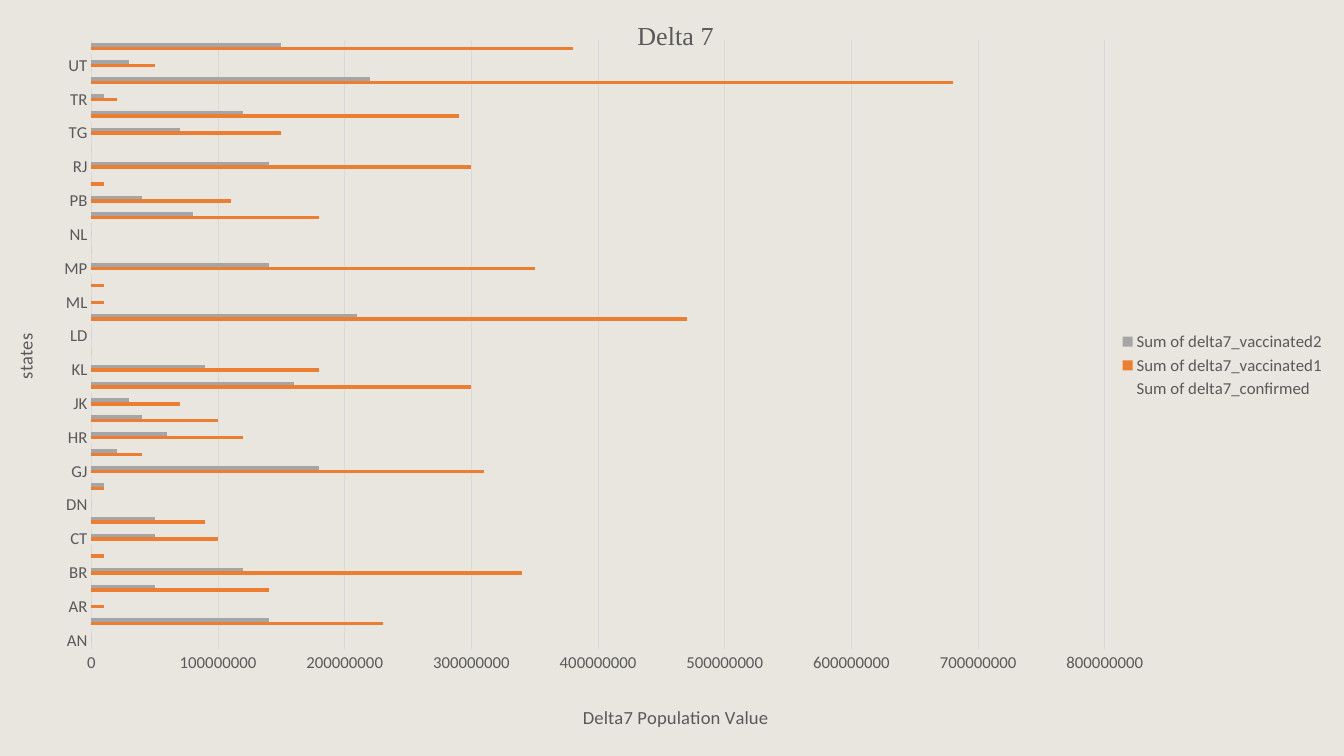
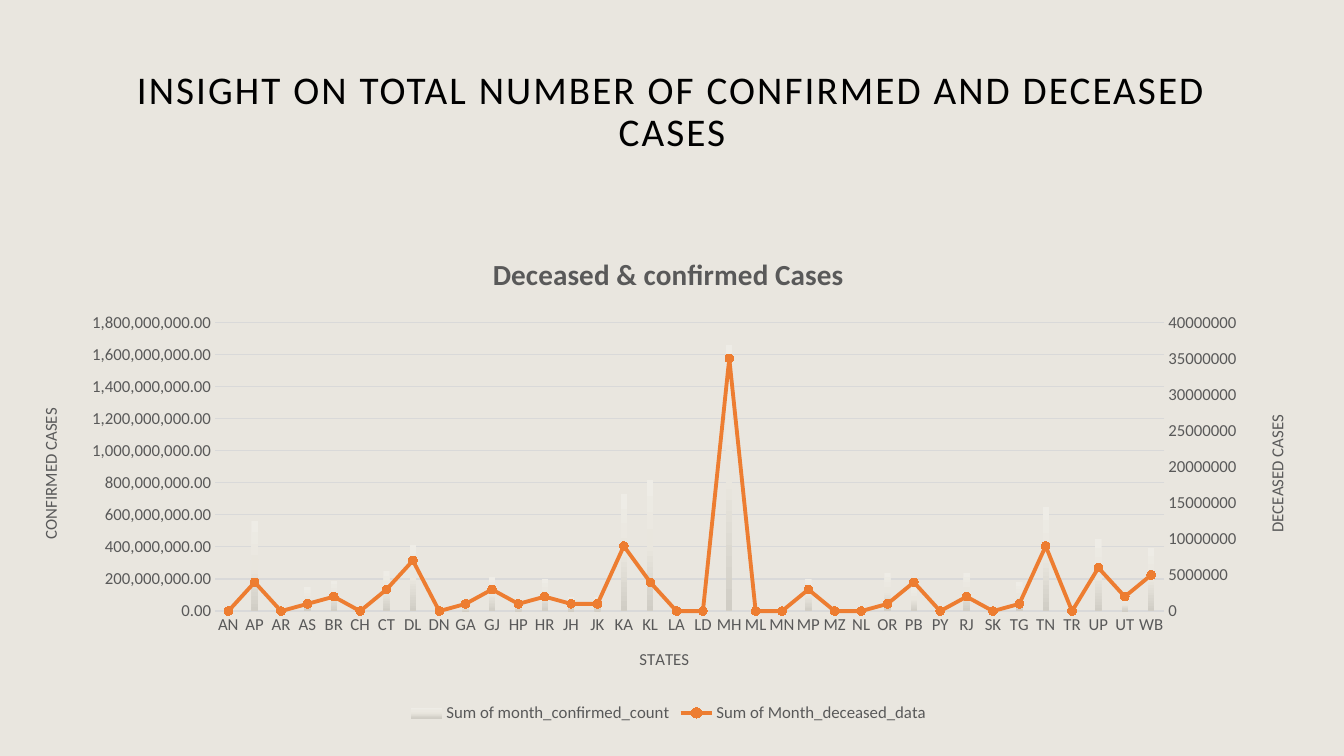
from copy import deepcopy

from pptx import Presentation
from pptx.chart.data import CategoryChartData
from pptx.dml.color import RGBColor
from pptx.enum.chart import XL_CHART_TYPE, XL_LEGEND_POSITION, XL_MARKER_STYLE, XL_TICK_MARK
from pptx.enum.text import MSO_ANCHOR, PP_ALIGN
from pptx.oxml import parse_xml
from pptx.oxml.ns import nsdecls, qn
from pptx.util import Cm, Pt

BARS = XL_CHART_TYPE.BAR_CLUSTERED
COLS = XL_CHART_TYPE.COLUMN_CLUSTERED
RIGHT = XL_LEGEND_POSITION.RIGHT
BOTTOM = XL_LEGEND_POSITION.BOTTOM
DOT = XL_MARKER_STYLE.CIRCLE
NO_TICK = XL_TICK_MARK.NONE
MIDDLE = MSO_ANCHOR.MIDDLE
CENTER = PP_ALIGN.CENTER

FONT = "Calibri"
SERIF = "Times New Roman"
BACK = "E9E6DF"
INK = "000000"
GREY = "595959"
RULE = "D9D9D9"
ORANGE = "ED7D31"
SILVER = "A5A5A5"
SPOT = "F67B28"
FADE = [(0, "EEECE6"), (50, "E9E6DE"), (100, "D0CDC5")]

MILLION = 10 ** 6
STATES = ("AN AP AR AS BR CH CT DL DN GA GJ HP HR JH JK KA KL LA LD MH ML MN "
          "MP MZ NL OR PB PY RJ SK TG TN TR UP UT WB").split()
DELTA = {
    "Sum of delta7_confirmed": [
        0, 10, 0, 0, 10, 0, 10, 10, 0, 0, 10, 0, 10, 0, 0, 20, 30, 0,
        0, 50, 0, 0, 10, 0, 0, 10, 0, 0, 10, 0, 0, 20, 0, 10, 0, 10],
    "Sum of delta7_vaccinated1": [
        0, 230, 10, 140, 340, 10, 100, 90, 0, 10, 310, 40, 120, 100, 70, 300, 180, 0,
        0, 470, 10, 10, 350, 0, 0, 180, 110, 10, 300, 0, 150, 290, 20, 680, 50, 380],
    "Sum of delta7_vaccinated2": [
        0, 140, 0, 50, 120, 0, 50, 50, 0, 10, 180, 20, 60, 40, 30, 160, 90, 0,
        0, 210, 0, 0, 140, 0, 0, 80, 40, 0, 140, 0, 70, 120, 10, 220, 30, 150],
}
CASES = {
    "Sum of month_confirmed_count": [
        0, 560, 10, 150, 190, 20, 250, 410, 0, 40, 210, 50, 200, 90, 90, 730, 820, 10,
        0, 1660, 10, 20, 200, 10, 10, 240, 150, 30, 240, 10, 180, 650, 20, 450, 80, 390],
    "Sum of Month_deceased_data": [
        0, 4, 0, 1, 2, 0, 3, 7, 0, 1, 3, 1, 2, 1, 1, 9, 4, 0,
        0, 35, 0, 0, 3, 0, 0, 1, 4, 0, 2, 0, 1, 9, 0, 6, 2, 5],
}


def paint(part, color):
    part.solid()
    part.fore_color.rgb = RGBColor.from_string(color)


def style(font, size, color=GREY, name=FONT, bold=False):
    font.name = name
    font.size = Pt(size)
    font.bold = bold
    font.color.rgb = RGBColor.from_string(color)


def stroke(line, color, width):
    paint(line.fill, color)
    line.width = Pt(width)


def label(frame, text, size, name=FONT, bold=False):
    frame.text = text
    style(frame.paragraphs[0].font, size, name=name, bold=bold)


def add_title(slide, text):
    title = slide.shapes.title
    title.left, title.top, title.width, title.height = Cm(2.33), Cm(1.01), Cm(29.21), Cm(3.68)
    frame = title.text_frame
    frame.text = text
    frame.word_wrap = True
    frame.vertical_anchor = MIDDLE
    para = frame.paragraphs[0]
    para.alignment = CENTER
    para.line_spacing = 0.9
    style(para.font, 28, INK)
    para.runs[0].font._element.set("spc", "150")


def add_chart(slide, kind, box, rows, side, gap):
    data = CategoryChartData()
    data.categories = STATES
    for name, values in rows.items():
        data.add_series(name, [value * MILLION for value in values])
    chart = slide.shapes.add_chart(kind, *map(Cm, box), data).chart
    style(chart.font, 10, INK)
    chart.has_legend = True
    chart.legend.position = side
    chart.legend.include_in_layout = False
    style(chart.legend.font, 12)
    plot = chart.plots[0]
    plot.gap_width = gap
    plot.vary_by_categories = False
    return chart


def name_chart(chart, text, size, name=FONT, bold=False):
    chart.has_title = True
    label(chart.chart_title.text_frame, text, size, name, bold)


def set_axis(axis, text, size, turn=False):
    frame = axis.axis_title.text_frame
    label(frame, text, size)
    if turn:
        body = frame._txBody.find(qn("a:bodyPr"))
        body.set("rot", "-5400000")
        body.set("vert", "horz")
    axis.major_tick_mark = NO_TICK
    axis.minor_tick_mark = NO_TICK
    style(axis.tick_labels.font, 12)


def rule_axes(chart, width):
    stroke(chart.category_axis.format.line, RULE, width)
    axis = chart.value_axis
    axis.format.line.fill.background()
    axis.has_major_gridlines = True
    stroke(axis.major_gridlines.format.line, RULE, 0.75)


def lay_out(host, index, **parts):
    for old in host.findall(qn("c:layout")):
        host.remove(old)
    marks = "".join(f'<c:{tag} val="{value}"/>' for tag, value in parts.items())
    host.insert(index, parse_xml(
        f'<c:layout {nsdecls("c")}><c:manualLayout>{marks}</c:manualLayout></c:layout>'))


def place_plot(chart, x, y, w, h):
    area = chart._chartSpace.find(".//" + qn("c:plotArea"))
    lay_out(area, 0, layoutTarget="inner", xMode="edge", yMode="edge", x=x, y=y, w=w, h=h)


def place_title(title, x, y):
    lay_out(title._element, 1, xMode="edge", yMode="edge", x=x, y=y)


def fade(series, stops):
    series.format.fill.solid()
    solid = series._element.find(".//" + qn("a:solidFill"))
    marks = "".join(f'<a:gs pos="{pos * 1000}"><a:srgbClr val="{color}"/></a:gs>'
                    for pos, color in stops)
    solid.getparent().replace(solid, parse_xml(
        f'<a:gradFill {nsdecls("a")}><a:gsLst>{marks}</a:gsLst>'
        '<a:lin ang="5400000" scaled="0"/></a:gradFill>'))


def twin_axis(axis, own, other):
    twin = deepcopy(axis._element)
    twin.find(qn("c:axId")).set("val", own)
    twin.find(qn("c:crossAx")).set("val", other)
    return twin


def split_line(chart, text):
    series = chart.plots[0].series[1]._element
    bars = series.getparent()
    line = parse_xml(
        f'<c:lineChart {nsdecls("c")}><c:grouping val="standard"/><c:varyColors val="0"/>'
        '<c:marker val="1"/><c:axId val="501"/><c:axId val="502"/></c:lineChart>')
    line.insert(2, series)
    for flag in series.findall(qn("c:invertIfNegative")):
        series.remove(flag)
    bars.addnext(line)

    base = twin_axis(chart.category_axis, "501", "502")
    base.find(qn("c:delete")).set("val", "1")
    base.remove(base.find(qn("c:title")))
    right = twin_axis(chart.value_axis, "502", "501")
    right.remove(right.find(qn("c:majorGridlines")))
    right.find(qn("c:axPos")).set("val", "r")
    right.find(qn("c:crosses")).set("val", "max")
    right.find(qn("c:numFmt")).set("formatCode", "General")
    right.find(".//" + qn("a:t")).text = text
    chart.value_axis._element.addnext(right)
    right.addnext(base)
    return chart.plots[1].series[0]


def delta_slide(deck):
    slide = deck.slides.add_slide(deck.slide_layouts[6])
    chart = add_chart(slide, BARS, (0.23, 0, 33.43, 18.54), DELTA, RIGHT, 182)
    name_chart(chart, "Delta 7", 18.6, SERIF)
    place_title(chart.chart_title, 0.47, 0.02)
    set_axis(chart.category_axis, "states", 13.3, turn=True)
    set_axis(chart.value_axis, "Delta7 Population Value", 13.3)
    place_title(chart.value_axis.axis_title, 0.43, 0.96)
    rule_axes(chart, 0.75)
    place_plot(chart, 0.062, 0.055, 0.764, 0.833)
    for series, color in zip(chart.plots[0].series, (BACK, ORANGE, SILVER)):
        paint(series.format.fill, color)


def cases_slide(deck):
    slide = deck.slides.add_slide(deck.slide_layouts[5])
    add_title(slide, "INSIGHT ON TOTAL NUMBER OF CONFIRMED AND DECEASED CASES")
    chart = add_chart(slide, COLS, (0.46, 5.87, 32.77, 12.45), CASES, BOTTOM, 315)
    name_chart(chart, "Deceased & confirmed Cases", 20.8, bold=True)
    set_axis(chart.category_axis, "STATES", 12)
    set_axis(chart.value_axis, "CONFIRMED CASES", 12, turn=True)
    rule_axes(chart, 1)
    ticks = chart.value_axis.tick_labels
    ticks.number_format = "#,##0.00"
    ticks.number_format_is_linked = False
    fade(chart.plots[0].series[0], FADE)
    line = split_line(chart, "DECEASED CASES")
    line.smooth = False
    stroke(line.format.line, ORANGE, 2.75)
    line.marker.style = DOT
    line.marker.size = 6
    paint(line.marker.format.fill, SPOT)
    stroke(line.marker.format.line, ORANGE, 0.75)


def main():
    deck = Presentation()
    deck.slide_width, deck.slide_height = Cm(33.87), Cm(19.05)
    paint(deck.slide_master.background.fill, BACK)
    delta_slide(deck)
    cases_slide(deck)
    deck.save("out.pptx")


if __name__ == "__main__":
    main()
